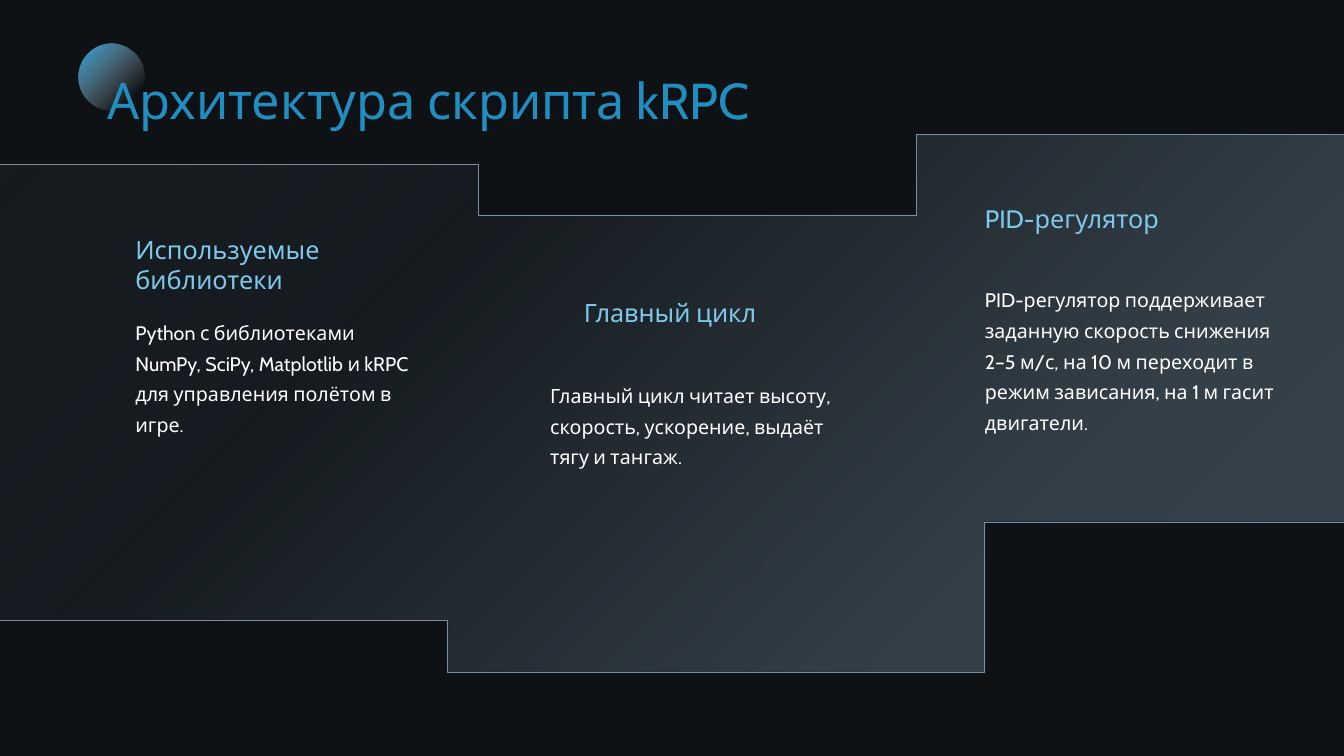
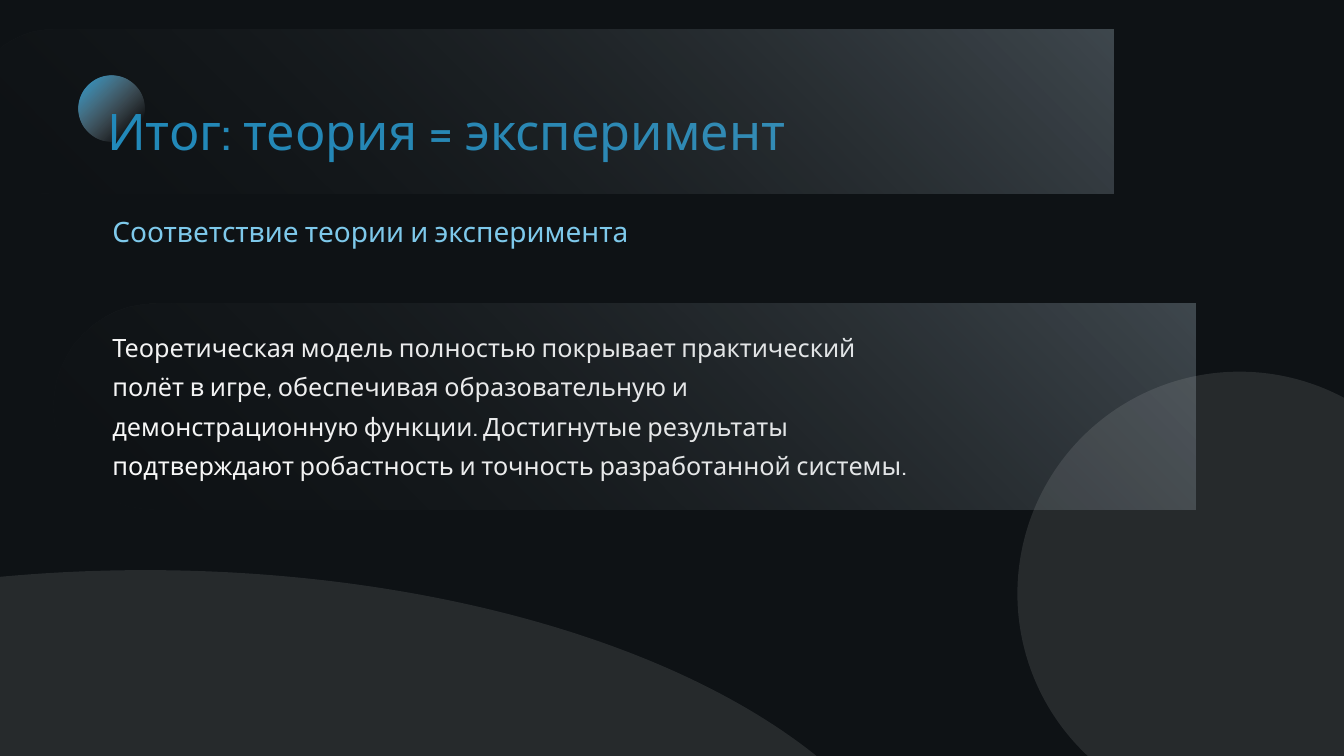
from lxml import etree
from pptx import Presentation
from pptx.dml.color import RGBColor
from pptx.enum.shapes import MSO_SHAPE
from pptx.enum.text import MSO_AUTO_SIZE
from pptx.oxml import parse_xml
from pptx.oxml.ns import nsdecls
from pptx.util import Pt

OVAL = MSO_SHAPE.OVAL
ROUND_TOP = MSO_SHAPE.ROUND_2_SAME_RECTANGLE
GROW = MSO_AUTO_SIZE.SHAPE_TO_FIT_TEXT

# Shared look: a grid of 1280 columns by 720 rows
UNIT = 9525
COLUMNS, ROWS = 1280, 720
FONT = "Cabin"
NIGHT, BLUE, SKY, WHITE, STEEL = "0E1215", "218EC1", "7EC9EB", "FFFFFF", "788FA3"
CORNER = '<a:path path="circle"><a:fillToRect l="100000" b="100000"/></a:path>'
SLANT = '<a:lin ang="{}" scaled="0"/>'
MARKER_STOPS = [(0, "28A4DE", 100), (81, "C5C9CE", 0), (100, "C5C9CE", 0)]
TERRACE_STOPS = [(0, STEEL, 39), (22, STEEL, 36), (54, STEEL, 7), (100, "232322", 15)]
BAND_STOPS = [(0, "A4B6C2", 33), (100, "232322", 0)]


def paint(shape, stops, direction):
    """Fill with a gradient of (position, colour, opacity) stops, without line or shadow."""
    shape.shadow.inherit = False
    shape.line.fill.background()
    shape.fill.background()
    marks = "".join(
        f'<a:gs pos="{pos * 1000}"><a:srgbClr val="{colour}">'
        f'<a:alpha val="{opacity * 1000}"/></a:srgbClr></a:gs>'
        for pos, colour, opacity in stops)
    gradient = parse_xml(f'<a:gradFill {nsdecls("a")} rotWithShape="1">'
                         f'<a:gsLst>{marks}</a:gsLst>{direction}</a:gradFill>')
    properties = shape.fill._xPr
    properties.replace(properties.find("{*}noFill"), gradient)


def write(slide, text, frame, size, colour, spacing=1.0, inset=0):
    """Add a wrapped text box; the frame is left, top, width, height in grid units."""
    box = slide.shapes.add_textbox(*(UNIT * n for n in frame)).text_frame
    box.word_wrap = True
    box.auto_size = GROW
    box.margin_left = box.margin_top = box.margin_right = box.margin_bottom = inset * UNIT
    paragraph = box.paragraphs[0]
    paragraph.text = text
    paragraph.line_spacing = spacing
    font = paragraph.runs[0].font
    font.name, font.size = FONT, Pt(size)
    font.color.rgb = RGBColor.from_string(colour)


prs = Presentation()
prs.slide_width, prs.slide_height = COLUMNS * UNIT, ROWS * UNIT
backdrop = prs.slide_master.background.fill
backdrop.solid()
backdrop.fore_color.rgb = RGBColor.from_string(NIGHT)
architecture, summary = [prs.slides.add_slide(prs.slide_layouts[6]) for _ in range(2)]

# Titles with their round marker
for slide, title, top in [(architecture, "Архитектура скрипта kRPC", 42),
                          (summary, "Итог: теория = эксперимент", 72)]:
    marker = slide.shapes.add_shape(OVAL, 75 * UNIT, top * UNIT, 63 * UNIT, 63 * UNIT)
    paint(marker, MARKER_STOPS, SLANT.format(45 * 60000))
    write(slide, title, (102, top + 12, 1105, 69), 36, BLUE, 1.2)

# Architecture: stepped terrace behind the three columns
outline = [(-621, 205), (-125, 205), (-125, 157), (456, 157), (456, 205), (873, 205),
           (873, 128), (1401, 128), (1401, 497), (938, 497), (938, 640), (426, 640),
           (426, 591), (-40, 591), (-40, 640), (-621, 640)]
builder = architecture.shapes.build_freeform(*outline[0], scale=UNIT)
builder.add_line_segments(outline[1:], close=True)
terrace = builder.convert_to_shape()
paint(terrace, TERRACE_STOPS, SLANT.format(225 * 60000))
terrace.line.color.rgb = RGBColor.from_string(STEEL)
terrace.line.width = Pt(0.5)

# Architecture: heading and text of each column
topics = [
    ("Используемые библиотеки", (124, 218, 283, 61),
     "Python с библиотеками NumPy, SciPy, Matplotlib и kRPC для управления полётом в игре.",
     (124, 294, 283, 122)),
    ("Главный цикл", (551, 278, 305, 29),
     "Главный цикл читает высоту, скорость, ускорение, выдаёт тягу и тангаж.",
     (519, 354, 305, 95)),
    ("PID-регулятор", (933, 189, 287, 29),
     "PID-регулятор поддерживает заданную скорость снижения 2–5 м/с, на 10 м переходит "
     "в режим зависания, на 1 м гасит двигатели.",
     (933, 263, 289, 153)),
]
for heading, heading_frame, detail, detail_frame in topics:
    write(architecture, heading, heading_frame, 18, SKY, inset=5)
    write(architecture, detail, detail_frame, 14, WHITE, 1.3, inset=5)

# Summary: subtitle and conclusion
write(summary, "Соответствие теории и эксперимента", (107, 204, 700, 80), 20, SKY)
write(summary,
      "Теоретическая модель полностью покрывает практический полёт в игре, обеспечивая "
      "образовательную и демонстрационную функции. Достигнутые результаты подтверждают "
      "робастность и точность разработанной системы.",
      (107, 308, 758, 171), 18, WHITE, 1.3)

# Summary: translucent bands, upright shapes turned to lie on their side
BAND_LENGTH = 1088
for left, top, height in [(-28, 28, 156), (51, 289, 196)]:
    shift = (BAND_LENGTH - height) // 2
    band = summary.shapes.add_shape(ROUND_TOP, (left + shift) * UNIT, (top - shift) * UNIT,
                                    height * UNIT, BAND_LENGTH * UNIT)
    band.rotation = 270
    band.adjustments[0], band.adjustments[1] = 0.5, 0
    paint(band, BAND_STOPS, CORNER)

# Summary: pale hills running off the edges
for frame in [(969, 354, 423, 423), (-613, 543, 1503, 747)]:
    hill = summary.shapes.add_shape(OVAL, *(UNIT * n for n in frame))
    hill.shadow.inherit = False
    hill.line.fill.background()
    hill.fill.solid()
    hill.fill.fore_color.rgb = RGBColor.from_string(WHITE)
    tint = hill.fill._xPr.find("{*}solidFill")[0]
    etree.SubElement(tint, tint.tag.replace("srgbClr", "alpha"), val="10000")

prs.save("out.pptx")
